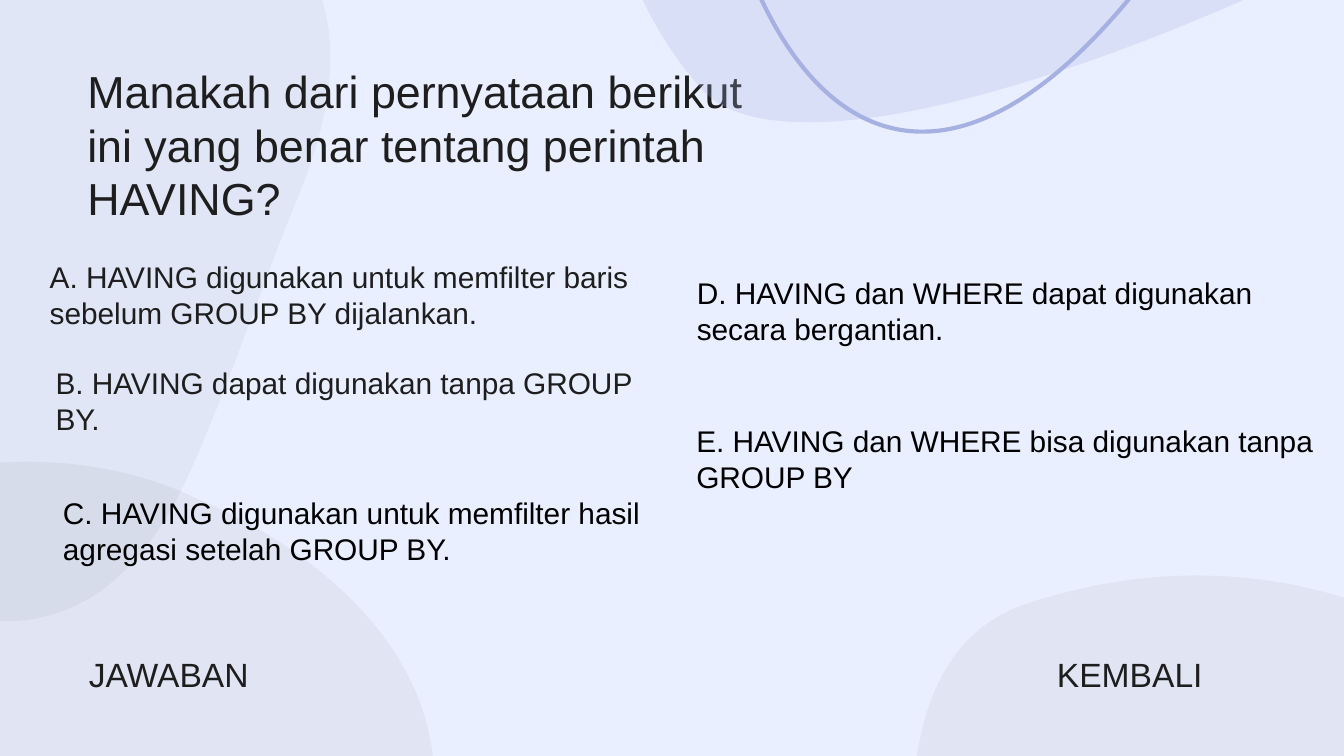
from math import cos, radians, sin

from lxml import etree
from pptx import Presentation
from pptx.dml.color import RGBColor
from pptx.enum.text import MSO_ANCHOR as Anchor, PP_ALIGN as Align
from pptx.oxml.ns import qn
from pptx.util import Cm, Pt

BACKGROUND = RGBColor(0xEA, 0xEF, 0xFF)
INK = RGBColor(0x1E, 0x1E, 0x1E)
BLACK = RGBColor(0x00, 0x00, 0x00)
LAVENDER = RGBColor(0xD6, 0xD9, 0xE7)
SLATE = RGBColor(0x62, 0x75, 0x88)
PERIWINKLE = RGBColor(0xA6, 0xB1, 0xE2)

FONT = "Arial"
CM_PER_INCH = 2.54

# Frames of the curved parts in cm: left, top, width, height
LEFT_CORNER = (-7.67, 11.48, 20.75, 13.26)
RIGHT_CORNER = (12.88, 14.4, 24.18, 15.44)
LEFT_SIDE = (-11.99, -4.83, 17.78, 15.8)
TOP_SIDE = (10.52, -12.67, 19.63, 14.99)
WAVE_FRAME = (14.1, -6.4, 21.74, 8)

# Outlines in inches on the slide, already turned: a start point,
# then two control points and an end point per curve.
CORNER_BLOB = [
    (3.11, 5.19), (3.23, 5.49), (3.27, 5.84), (3.19, 6.24),
    (2.85, 8.01), (2.13, 8.72), (2.13, 8.72), (2.13, 8.72), (1.57, 9), (1.82, 9.63),
    (1.83, 9.65), (1.84, 9.68), (1.85, 9.71), (1.9, 9.8), (1.94, 9.88), (1.97, 9.97),
    (2.19, 10.53), (2.2, 10.97), (2.04, 11.08), (1.85, 11.21), (1.08, 11), (0.64, 10.56),
    (0.26, 10.19), (-0.44, 9.73), (-0.68, 9.12), (-0.73, 9), (-0.76, 8.88), (-0.77, 8.75),
    (-0.81, 7.95), (-2.77, 4.51), (-1.26, 3.78), (0.26, 3.05), (1.46, 3.71), (1.46, 3.71),
    (1.46, 3.71), (2.7, 4.17), (3.11, 5.19),
]
LEFT_BLOB = [
    (-0.31, -1.77), (-0.34, -1.78), (-0.36, -1.78), (-0.39, -1.79),
    (-0.45, -1.8), (-0.52, -1.82), (-0.58, -1.83), (-1.39, -2.02), (-2.4, -2.23), (-3.13, -1.8),
    (-3.62, -1.51), (-3.85, -0.8), (-4.08, -0.32), (-4.39, 0.31), (-4.67, 0.95), (-4.87, 1.63),
    (-5.14, 2.53), (-4.81, 3.07), (-3.96, 3.4), (-3.21, 3.7), (-2.46, 3.99), (-1.69, 4.23),
    (-1.36, 4.33), (-1.03, 4.46), (-0.69, 4.54), (-0.41, 4.6), (-0.13, 4.64), (0.15, 4.62),
    (0.78, 4.56), (1.16, 4.07), (1.41, 3.52), (1.72, 2.83), (1.95, 2.11), (2.24, 1.41),
    (2.48, 0.8), (2.61, 0.09), (2.15, -0.45), (1.53, -1.18), (0.6, -1.55), (-0.31, -1.77),
]
TOP_BLOB = [
    (9.09, -4.99), (7.64, -4.99), (4.64, -3.69), (4.62, -3.63),
    (4.14, -2.42), (4.28, -0.39), (5.21, 0.65), (5.37, 0.84), (5.66, 0.91), (6.02, 0.91),
    (7.71, 0.91), (11.03, -0.75), (11.41, -1.23), (11.86, -1.83), (10.67, -4.59), (9.5, -4.94),
    (9.38, -4.97), (9.25, -4.99), (9.09, -4.99),
]
TOP_WAVE = [
    (13.46, -3.7), (13.46, -3.7), (12.93, -1.89), (12.3, -1.43),
    (11.56, -0.89), (9.76, -1.75), (8.5, -0.13), (7.23, 1.49), (6.17, 1.21), (5.6, -0.15),
]


def make_upright(outline, frame, angle):
    """Turn the outline back about the frame's centre; measure from its corner."""
    left, top, width, height = frame
    c, s = cos(radians(angle)), sin(radians(angle))
    points = []
    for x, y in outline:
        dx = x * CM_PER_INCH - left - width / 2
        dy = y * CM_PER_INCH - top - height / 2
        points.append((Cm(dx * c + dy * s + width / 2), Cm(dy * c - dx * s + height / 2)))
    return points


def add_path_step(path, name, points=()):
    step = etree.SubElement(path, qn(name))
    for x, y in points:
        etree.SubElement(step, qn("a:pt"), x=str(x), y=str(y))


def add_curve(slide, outline, drawn_frame, drawn_angle, frame, angle, closed=True):
    points = make_upright(outline, drawn_frame, drawn_angle)
    builder = slide.shapes.build_freeform(*points[0])
    builder.add_line_segments(points[1:], close=closed)
    shape = builder.convert_to_shape()
    shape.left, shape.top, shape.width, shape.height = map(Cm, frame)
    shape.rotation = angle
    shape.shadow.inherit = False

    # Swap the straight segments for Bézier curves
    path = next(shape._element.iter(qn("a:path")))
    for step in list(path):
        path.remove(step)
    path.set("w", str(Cm(drawn_frame[2])))
    path.set("h", str(Cm(drawn_frame[3])))
    add_path_step(path, "a:moveTo", points[:1])
    for first in range(1, len(points), 3):
        add_path_step(path, "a:cubicBezTo", points[first:first + 3])
    if closed:
        add_path_step(path, "a:close")
    return shape


def add_blob(slide, outline, drawn_frame, drawn_angle, frame, angle, color, opacity):
    shape = add_curve(slide, outline, drawn_frame, drawn_angle, frame, angle)
    shape.line.fill.background()
    shape.fill.solid()
    shape.fill.fore_color.rgb = color
    color_element = next(shape._element.spPr.iter(qn("a:srgbClr")))
    etree.SubElement(color_element, qn("a:alpha"), val=str(opacity * 1000))


def add_wave(slide, outline, frame, angle, color, width):
    shape = add_curve(slide, outline, frame, angle, frame, angle, closed=False)
    shape.fill.background()
    shape.line.color.rgb = color
    shape.line.width = Pt(width)


def add_text(slide, text, frame, size, color=INK, anchor=Anchor.TOP,
             align=Align.LEFT, inset=0.25):
    text_frame = slide.shapes.add_textbox(*map(Cm, frame)).text_frame
    text_frame.word_wrap = True
    text_frame.vertical_anchor = anchor
    text_frame.margin_left = text_frame.margin_right = Cm(0.25)
    text_frame.margin_top = text_frame.margin_bottom = Cm(inset)
    text_frame.text = text
    paragraph = text_frame.paragraphs[0]
    paragraph.alignment = align
    font = paragraph.runs[0].font
    font.name, font.size, font.color.rgb = FONT, Pt(size), color


def main():
    presentation = Presentation()
    presentation.slide_width, presentation.slide_height = Cm(25.4), Cm(14.29)
    slide = presentation.slides.add_slide(presentation.slide_layouts[6])
    slide.background.fill.solid()
    slide.background.fill.fore_color.rgb = BACKGROUND

    # Backdrop on the left
    add_blob(slide, CORNER_BLOB, LEFT_CORNER, 68.4, LEFT_CORNER, 68.4, LAVENDER, 46)
    add_blob(slide, LEFT_BLOB, LEFT_SIDE, 13.6, LEFT_SIDE, 13.6, SLATE, 7)

    # Question, partly veiled by the top blob
    add_text(slide, "Manakah dari pernyataan berikut ini yang benar tentang perintah HAVING?",
             (1.4, 1.05, 13.31, 3.45), 24, anchor=Anchor.BOTTOM)

    # Decoration on the top and in the right corner
    add_blob(slide, TOP_BLOB, TOP_SIDE, 0, TOP_SIDE, 0, PERIWINKLE, 25)
    add_wave(slide, TOP_WAVE, WAVE_FRAME, 343.1, PERIWINKLE, 2.25)
    add_blob(slide, CORNER_BLOB, LEFT_CORNER, 68.4, RIGHT_CORNER, 75.6, LAVENDER, 46)

    # Answer options
    for text, frame in (
        ("A. HAVING digunakan untuk memfilter baris sebelum GROUP BY dijalankan.",
         (0.69, 4.7, 12.22, 1.8)),
        ("B. HAVING dapat digunakan tanpa GROUP BY.", (0.8, 7.23, 12.01, 1.27)),
    ):
        add_text(slide, text, frame, 16, anchor=Anchor.BOTTOM)
    for text, frame in (
        ("C. HAVING digunakan untuk memfilter hasil agregasi setelah GROUP BY.",
         (0.94, 9.22, 12.47, 1.63)),
        ("D. HAVING dan WHERE dapat digunakan secara bergantian.", (12.92, 5.07, 12.47, 1.63)),
        ("E. HAVING dan WHERE bisa digunakan tanpa GROUP BY", (12.91, 7.86, 12.24, 1.63)),
    ):
        add_text(slide, text, frame, 16, color=BLACK, inset=0.13)

    # Navigation labels
    for text, left in (("JAWABAN", 0.69), ("KEMBALI ", 18.94)):
        add_text(slide, text, (left, 12.12, 5, 1.47), 18, align=Align.CENTER)

    presentation.save("out.pptx")


if __name__ == "__main__":
    main()
